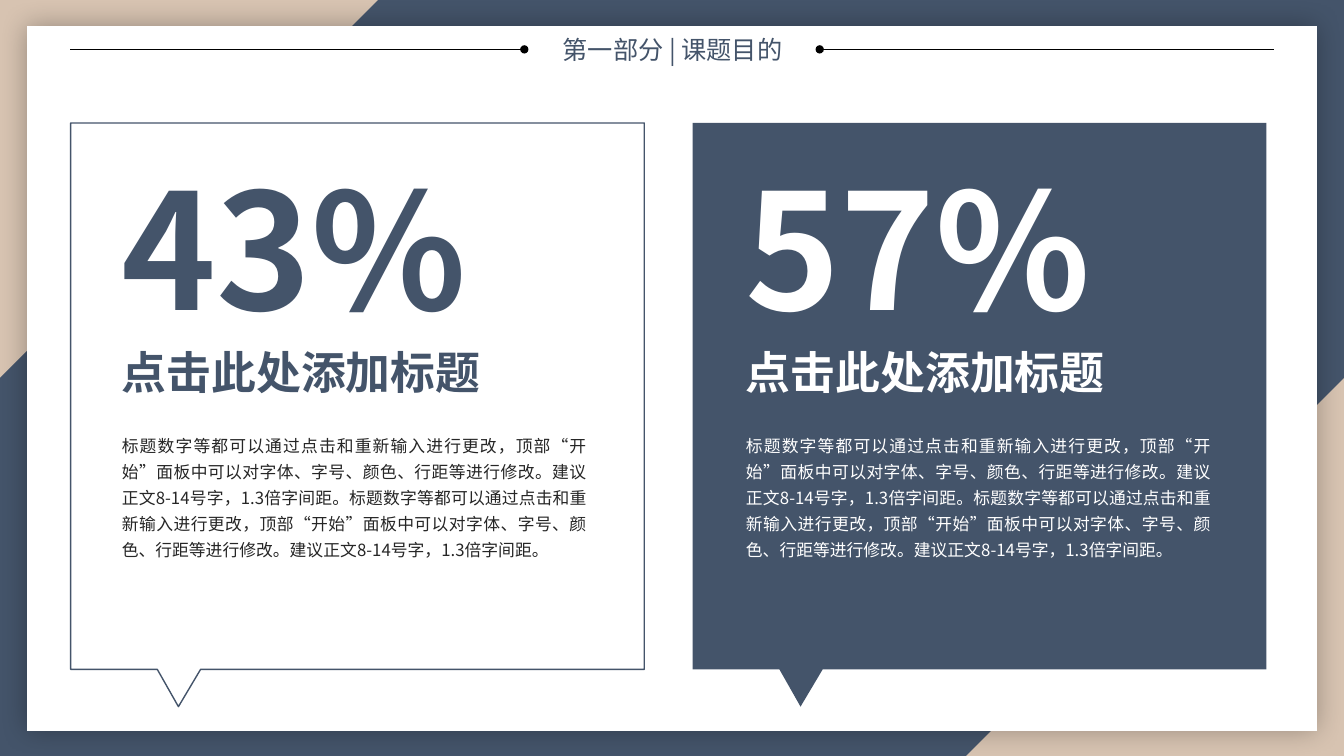
from dataclasses import dataclass

from lxml.etree import SubElement
from pptx import Presentation
from pptx.dml.color import RGBColor
from pptx.enum.shapes import MSO_CONNECTOR, MSO_SHAPE
from pptx.enum.text import MSO_ANCHOR, MSO_AUTO_SIZE, PP_ALIGN
from pptx.oxml.ns import qn
from pptx.util import Inches, Pt


@dataclass(frozen=True)
class Theme:
    sand: str = "D7C3B1"
    navy: str = "44546A"
    white: str = "FFFFFF"
    black: str = "000000"
    ink: str = "262626"
    font: str = "Noto Sans CJK SC"
    header_size: float = 18
    figure_size: float = 115
    heading_size: float = 32
    body_size: float = 12


THEME = Theme()
SLIDE_WIDTH, SLIDE_HEIGHT = 13.33, 7.5
HEADER = "第一部分 | 课题目的"
HEADING = "点击此处添加标题"
BODY = (
    "标题数字等都可以通过点击和重新输入进行更改，顶部“开始”面板中可以对字体、字号、"
    "颜色、行距等进行修改。建议正文8-14号字，1.3倍字间距。"
) * 2
CARD_TOP = 1.22
# Callout outline relative to the card's top left corner
CARD_OUTLINE = [(0, 0), (5.69, 0), (5.69, 5.42), (1.29, 5.42),
                (1.07, 5.79), (0.86, 5.42), (0, 5.42)]


def rgb(color):
    return RGBColor.from_string(color)


class SlideBuilder:
    def __init__(self, slide, theme):
        self.slide = slide
        self.shapes = slide.shapes
        self.theme = theme

    def background(self, color):
        fill = self.slide.background.fill
        fill.solid()
        fill.fore_color.rgb = rgb(color)

    def paint(self, shape, fill, line=None):
        shape.shadow.inherit = False
        shape.fill.solid()
        shape.fill.fore_color.rgb = rgb(fill)
        if line:
            shape.line.color.rgb = rgb(line)
            shape.line.width = Pt(1)
        else:
            shape.line.fill.background()

    def shape(self, kind, box, fill, adjustments=()):
        shape = self.shapes.add_shape(kind, *map(Inches, box))
        for index, value in enumerate(adjustments):
            shape.adjustments[index] = value
        self.paint(shape, fill)
        return shape

    def glow(self, shape, blur, opacity):
        """Give the shape a soft shadow that spreads evenly on all sides."""
        effects = shape.element.spPr.find(qn("a:effectLst"))
        shadow = SubElement(effects, qn("a:outerShdw"), blurRad=str(Pt(blur)),
                            dist="0", dir="0", algn="ctr", rotWithShape="0")
        color = SubElement(shadow, qn("a:srgbClr"), val=self.theme.black)
        SubElement(color, qn("a:alpha"), val=str(opacity * 1000))

    def dotted_rule(self, start, end, y):
        """Draw a thin horizontal line with a round dot at its start."""
        rule = self.shapes.add_connector(
            MSO_CONNECTOR.STRAIGHT, *map(Inches, (start, y, end, y)))
        rule.line.color.rgb = rgb(self.theme.black)
        rule.line.width = Pt(0.5)
        properties = rule.element.spPr
        SubElement(properties.find(qn("a:ln")), qn("a:headEnd"), type="oval")
        SubElement(properties, qn("a:effectLst"))

    def set_text(self, shape, text, size, color, bold=False, align=PP_ALIGN.LEFT):
        shape.text_frame.text = text
        paragraph = shape.text_frame.paragraphs[0]
        paragraph.alignment = align
        for run in paragraph.runs:
            run.font.size = Pt(size)
            run.font.bold = bold
            run.font.name = self.theme.font
            run.font.color.rgb = rgb(color)
        for properties in shape.element.iter(qn("a:rPr")):
            SubElement(properties, qn("a:ea"), typeface=self.theme.font)
        return paragraph

    def title(self, text, box):
        title = self.shapes.title
        title.left, title.top, title.width, title.height = map(Inches, box)
        title.text_frame.auto_size = MSO_AUTO_SIZE.NONE
        title.text_frame.vertical_anchor = MSO_ANCHOR.MIDDLE
        self.set_text(title, text, self.theme.header_size,
                      self.theme.navy, align=PP_ALIGN.CENTER)
        # Bring the title in front of the white panel
        title.element.getparent().append(title.element)

    def text(self, text, box, size, color, bold=False, wrap=False,
             align=PP_ALIGN.LEFT, spacing=None):
        text_box = self.shapes.add_textbox(*map(Inches, box))
        text_box.text_frame.word_wrap = wrap
        text_box.text_frame.auto_size = MSO_AUTO_SIZE.SHAPE_TO_FIT_TEXT
        paragraph = self.set_text(text_box, text, size, color, bold, align)
        paragraph.line_spacing = spacing

    def callout(self, left, fill, line=None):
        points = [(Inches(left + x), Inches(CARD_TOP + y)) for x, y in CARD_OUTLINE]
        outline = self.shapes.build_freeform(*points[0], scale=1.0)
        outline.add_line_segments(points[1:], close=True)
        self.paint(outline.convert_to_shape(), fill, line)

    def card(self, left, text_left, figure, fill, accent, body_color, line=None):
        theme = self.theme
        self.callout(left, fill, line)
        self.text(BODY, (text_left, 4.21, 4.81, 1.41), theme.body_size, body_color,
                  wrap=True, align=PP_ALIGN.JUSTIFY, spacing=1.3)
        self.text(figure, (text_left, 1.43, 3.69, 2.04), theme.figure_size,
                  accent, bold=True)
        self.text(HEADING, (text_left, 3.37, 3.79, 0.64), theme.heading_size,
                  accent, bold=True)


def main():
    presentation = Presentation()
    presentation.slide_width = Inches(SLIDE_WIDTH)
    presentation.slide_height = Inches(SLIDE_HEIGHT)
    slide = presentation.slides.add_slide(presentation.slide_layouts[5])
    builder = SlideBuilder(slide, THEME)

    builder.background(THEME.sand)
    builder.shape(MSO_SHAPE.SNIP_2_DIAG_RECTANGLE, (0, 0, SLIDE_WIDTH, SLIDE_HEIGHT),
                  THEME.navy, adjustments=(0.5, 0))
    panel = builder.shape(MSO_SHAPE.RECTANGLE, (0.27, 0.26, 12.79, 6.99), THEME.white)
    builder.glow(panel, blur=20, opacity=30)

    builder.dotted_rule(5.2, 0.69, y=0.49)
    builder.dotted_rule(8.13, 12.64, y=0.49)
    builder.title(HEADER, (5.34, 0.29, 2.66, 0.41))

    builder.card(6.87, 7.3, "57%", THEME.navy, THEME.white, THEME.white)
    builder.card(0.7, 1.11, "43%", THEME.white, THEME.navy, THEME.ink, line=THEME.navy)

    presentation.save("out.pptx")


if __name__ == "__main__":
    main()
